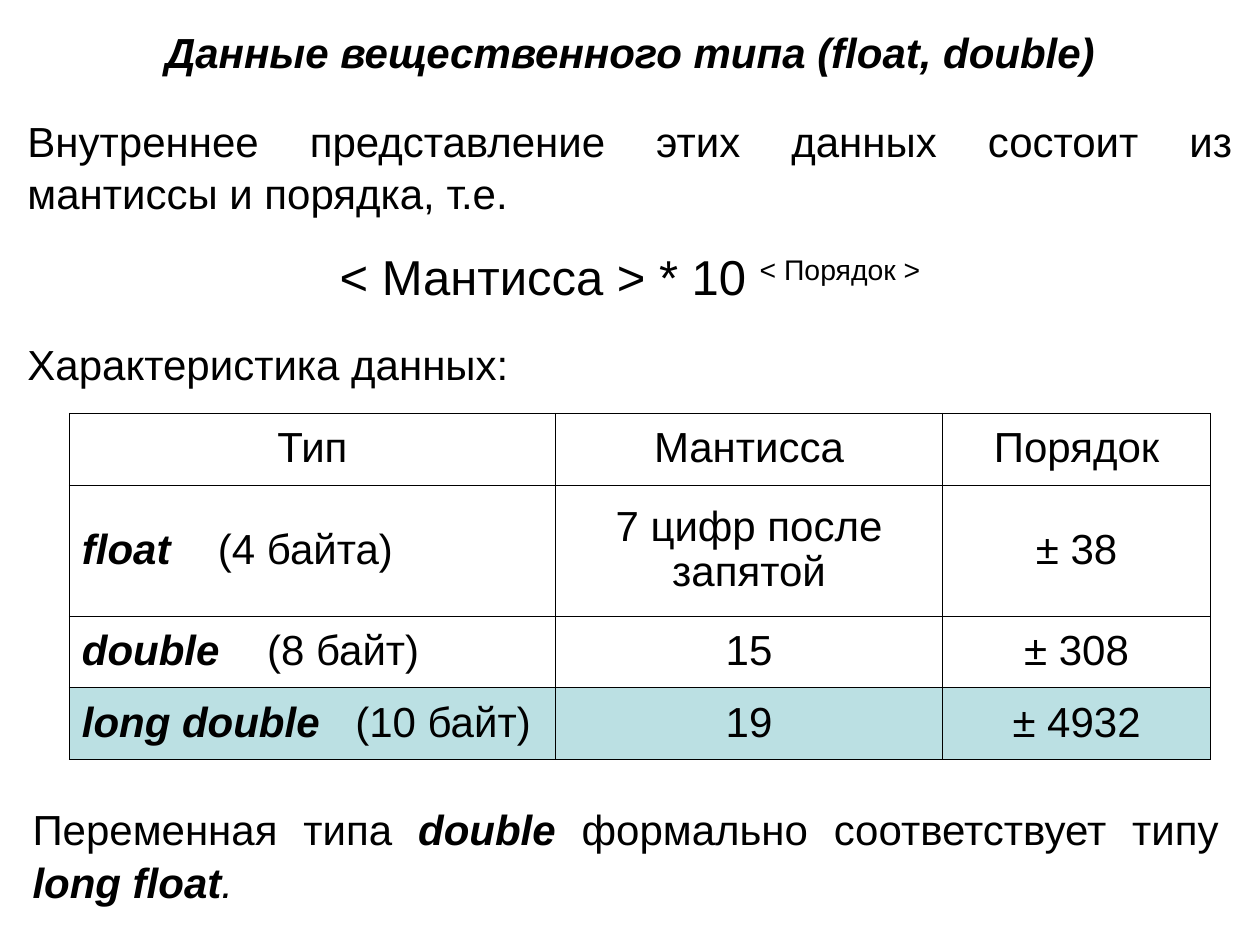
from lxml import etree
from pptx import Presentation
from pptx.dml.color import RGBColor
from pptx.enum.text import MSO_ANCHOR, PP_ALIGN
from pptx.oxml.ns import qn
from pptx.util import Inches, Pt

LEFT, CENTER, JUSTIFY = PP_ALIGN.LEFT, PP_ALIGN.CENTER, PP_ALIGN.JUSTIFY
MIDDLE = MSO_ANCHOR.MIDDLE
BLACK = RGBColor(0x00, 0x00, 0x00)
HIGHLIGHT = RGBColor(0xBB, 0xE0, 0xE3)
FONT = "Arial"
TEXT_SIZE, FORMULA_SIZE = 24, 28
TEXT_SPACING, TABLE_SPACING = 1.04, 0.97
BORDER_WIDTH = Pt(0.45)

STRONG = {"bold": True, "italic": True}
FORMULA = {"size": FORMULA_SIZE}
EXPONENT = {"size": FORMULA_SIZE, "baseline": 30}

# Paragraph: alignment, space before, space after, runs of (text, style)
INTRO = [
    (CENTER, 0, 6, [("Данные вещественного типа (float, double)", STRONG)]),
    (JUSTIFY, 15, 0, [("Внутреннее представление этих данных состоит из "
                       "мантиссы и порядка, т.е.", {})]),
    (CENTER, 15, 0, [("< Мантисса > * 10 ", FORMULA), ("< Порядок >", EXPONENT)]),
    (LEFT, 18, 6, [("Характеристика данных:", {})]),
]
CONCLUSION = [
    (JUSTIFY, 0, 0, [("Переменная типа ", {}), ("double ", STRONG),
                     ("формально соответствует типу ", {}),
                     ("long float", STRONG), (".", {"italic": True})]),
]

HEADERS = ["Тип", "Мантисса", "Порядок"]
# Type name, its size, where the size starts (inches), mantissa, exponent
TYPES = [
    ("float", "(4 байта)", 1.08, "7 цифр после запятой", "± 38"),
    ("double", "(8 байт)", 1.47, "15", "± 308"),
    ("long double", "(10 байт)", 2.17, "19", "± 4932"),
]
HIGHLIGHTED_TYPE = "long double"
COLUMN_WIDTHS = [3.86, 3.07, 2.13]
ROW_HEIGHTS = [0.57, 1.04, 0.57, 0.57]


def add_runs(paragraph, runs):
    for text, style in runs:
        run = paragraph.add_run()
        run.text = text
        run.font.name = FONT
        run.font.size = Pt(style.get("size", TEXT_SIZE))
        run.font.bold = style.get("bold", False)
        run.font.italic = style.get("italic", False)
        run.font.color.rgb = BLACK
        if "baseline" in style:
            run._r.get_or_add_rPr().set("baseline", str(style["baseline"] * 1000))


def add_text(slide, left, top, width, height, paragraphs):
    box = slide.shapes.add_textbox(Inches(left), Inches(top), Inches(width), Inches(height))
    frame = box.text_frame
    frame.word_wrap = True
    frame.vertical_anchor = MIDDLE
    for i, (alignment, before, after, runs) in enumerate(paragraphs):
        paragraph = frame.add_paragraph() if i else frame.paragraphs[0]
        paragraph.alignment = alignment
        paragraph.line_spacing = TEXT_SPACING
        paragraph.space_before, paragraph.space_after = Pt(before), Pt(after)
        add_runs(paragraph, runs)


def add_borders(cell):
    properties = cell._tc.get_or_add_tcPr()
    for side in ("lnL", "lnR", "lnT", "lnB"):
        line = etree.SubElement(properties, qn(f"a:{side}"), w=str(BORDER_WIDTH))
        fill = etree.SubElement(line, qn("a:solidFill"))
        etree.SubElement(fill, qn("a:srgbClr"), val=str(BLACK))


def add_tab_stop(paragraph, position):
    tabs = etree.SubElement(paragraph._p.get_or_add_pPr(), qn("a:tabLst"))
    etree.SubElement(tabs, qn("a:tab"), pos=str(Inches(position)), algn="l")


def fill_cell(cell, runs, alignment=CENTER, tab_stop=None, highlighted=False):
    cell.vertical_anchor = MIDDLE
    add_borders(cell)
    if highlighted:
        cell.fill.solid()
        cell.fill.fore_color.rgb = HIGHLIGHT
    else:
        cell.fill.background()
    paragraph = cell.text_frame.paragraphs[0]
    paragraph.alignment = alignment
    paragraph.line_spacing = TABLE_SPACING
    if tab_stop:
        add_tab_stop(paragraph, tab_stop)
    add_runs(paragraph, runs)


def add_type_table(slide, left, top):
    table = slide.shapes.add_table(
        len(ROW_HEIGHTS), len(COLUMN_WIDTHS), Inches(left), Inches(top),
        Inches(sum(COLUMN_WIDTHS)), Inches(sum(ROW_HEIGHTS))).table
    table.first_row = table.horz_banding = False
    for column, width in zip(table.columns, COLUMN_WIDTHS):
        column.width = Inches(width)
    for row, height in zip(table.rows, ROW_HEIGHTS):
        row.height = Inches(height)
    for column, header in enumerate(HEADERS):
        fill_cell(table.cell(0, column), [(header, {})])
    for row, (name, size, size_start, *values) in enumerate(TYPES, start=1):
        highlighted = name == HIGHLIGHTED_TYPE
        fill_cell(table.cell(row, 0), [(name, STRONG), ("\t" + size, {})],
                  JUSTIFY, size_start, highlighted)
        for column, value in enumerate(values, start=1):
            fill_cell(table.cell(row, column), [(value, {})], highlighted=highlighted)


def main():
    presentation = Presentation()
    presentation.slide_width, presentation.slide_height = Inches(10), Inches(7.5)
    slide = presentation.slides.add_slide(presentation.slide_layouts[6])
    add_text(slide, 0.12, 0.18, 9.76, 2.92, INTRO)
    add_type_table(slide, 0.55, 3.28)
    add_text(slide, 0.16, 6.33, 9.61, 0.9, CONCLUSION)
    presentation.save("out.pptx")


if __name__ == "__main__":
    main()
